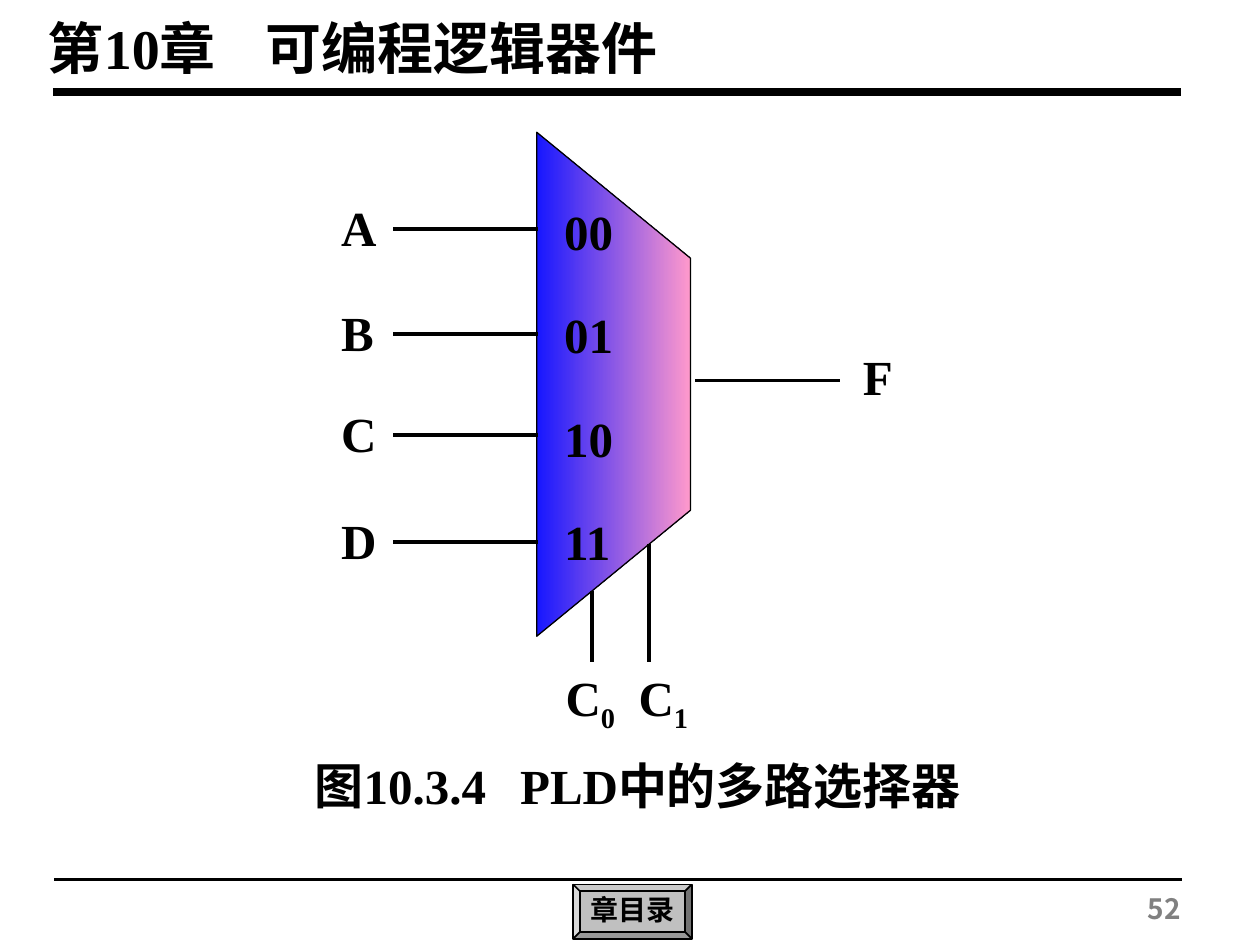
from lxml import etree
from pptx import Presentation
from pptx import util as u
from pptx.dml.color import RGBColor
from pptx.enum import shapes as kinds, text
from pptx.oxml.ns import qn

BLACK = RGBColor(0, 0, 0)
GREY = RGBColor(0x80, 0x80, 0x80)
SILVER = RGBColor(0xC0, 0xC0, 0xC0)
BLUE = RGBColor(0x17, 0x17, 0xFF)
PINK = RGBColor(0xFF, 0x99, 0xCC)
LATIN, CJK = "Times New Roman", "Noto Sans CJK SC"

WIDTH, HEIGHT = 10, 7.5
CHAPTER = "第10章\t可编程逻辑器件"
CAPTION = "图10.3.4\tPLD中的多路选择器"
CONTENTS_LABEL = "章目录"
PAGE = "52"
INPUTS = [("A", "00", 1.82), ("B", "01", 2.65), ("C", "10", 3.45), ("D", "11", 4.3)]
SELECTS = [("0", 4.7, 4.69), ("1", 5.15, 4.32)]
OUTPUT = ("F", 3.02)
RULES = [(0.42, 0.73, 4.5), (0.43, 6.98, 2.25)]

MUX_LEFT, MUX_RIGHT, MUX_TOP = 4.26, 5.48, 1.05
MUX_HEIGHT, MUX_SLOPE = 4, 1
WIRE, RULE_WIDTH = 1.15, 8.95
CODE_TOP, CODE_STEP = 1.55, 0.82
SELECT_END, SELECT_LABEL_TOP, SELECT_STEP = 5.25, 5.25, 0.58
LABEL_HEIGHT = 0.57

deck = Presentation()
deck.slide_width, deck.slide_height = u.Inches(WIDTH), u.Inches(HEIGHT)
slide = deck.slides.add_slide(deck.slide_layouts[5])


def write(shape, wording, size=28, color=BLACK, font=LATIN, align=text.PP_ALIGN.LEFT,
          anchor=text.MSO_ANCHOR.TOP, inset=(0.1, 0.05), subscript="", tab=None):
    frame = shape.text_frame
    across, down = (u.Inches(side) for side in inset)
    layout = {"word_wrap": True, "auto_size": text.MSO_AUTO_SIZE.NONE,
              "vertical_anchor": anchor, "margin_left": across, "margin_right": across,
              "margin_top": down, "margin_bottom": down}
    for key, value in layout.items():
        setattr(frame, key, value)
    line = frame.paragraphs[0]
    line.alignment = align
    if tab:
        stops = etree.SubElement(line._p.get_or_add_pPr(), qn("a:tabLst"))
        etree.SubElement(stops, qn("a:tab"), pos=str(u.Inches(tab)), algn="l")
    for part, baseline in ((wording, None), (subscript, "-25000")):
        if not part:
            continue
        run = line.add_run()
        run.text = part
        for key, value in {"size": u.Pt(size), "bold": True, "name": font}.items():
            setattr(run.font, key, value)
        run.font.color.rgb = color
        properties = run._r.get_or_add_rPr()
        etree.SubElement(properties, qn("a:ea"), typeface=CJK)
        if baseline:
            properties.set("baseline", baseline)
    return line


def label(wording, left, top, width, height=LABEL_HEIGHT, **style):
    box = slide.shapes.add_textbox(*(u.Inches(n) for n in (left, top, width, height)))
    write(box, wording, **style)


def wire(x1, y1, x2, y2, weight=2.25):
    line = slide.shapes.add_connector(
        kinds.MSO_CONNECTOR.STRAIGHT, *(u.Inches(n) for n in (x1, y1, x2, y2)))
    line.line.color.rgb = BLACK
    line.line.width = u.Pt(weight)
    etree.SubElement(line._element.spPr, qn("a:effectLst"))


chapter = slide.shapes.title
chapter.left, chapter.top, chapter.width, chapter.height = (
    u.Inches(n) for n in (0.28, 0.06, 5.71, 0.64))
write(chapter, CHAPTER, size=32, tab=1.73)

for left, y, weight in RULES:
    wire(left, y, left + RULE_WIDTH, y, weight)

contents = slide.shapes.add_shape(
    kinds.MSO_SHAPE.BEVEL, *(u.Inches(n) for n in (4.55, 7.02, 0.94, 0.43)))
contents.adjustments[0] = 0.12
contents.shadow.inherit = False
contents.fill.solid()
contents.fill.fore_color.rgb = SILVER
contents.line.color.rgb = BLACK
contents.line.width = u.Pt(1)
write(contents, CONTENTS_LABEL, size=16, align=text.PP_ALIGN.CENTER,
      anchor=text.MSO_ANCHOR.MIDDLE, inset=(0.04, 0.04)).line_spacing = 0.9

label(CAPTION, 2.4, 5.95, 5.42, 1.04, tab=1.63)

mux_bottom = MUX_TOP + MUX_HEIGHT
outline = slide.shapes.build_freeform(
    u.Inches(MUX_LEFT), u.Inches(MUX_TOP), scale=1.0)
outline.add_line_segments([(u.Inches(x), u.Inches(y)) for x, y in (
    (MUX_RIGHT, MUX_TOP + MUX_SLOPE), (MUX_RIGHT, mux_bottom - MUX_SLOPE),
    (MUX_LEFT, mux_bottom))], close=True)
mux = outline.convert_to_shape()
mux.shadow.inherit = False
mux.fill.gradient()
mux.fill.gradient_angle = 0
for stop, color, position in zip(mux.fill.gradient_stops, (BLUE, PINK), (0, 1)):
    stop.color.rgb = color
    stop.position = position
mux.line.color.rgb = BLACK
mux.line.width = u.Pt(0.75)

for row, (name, code, y) in enumerate(INPUTS):
    label(code, MUX_LEFT + 0.12, CODE_TOP + row * CODE_STEP, 0.64)
    wire(MUX_LEFT - WIRE + 0.01, y, MUX_LEFT + 0.01, y)
    label(name, 2.61, y - 0.3, 0.49)

output_name, output_y = OUTPUT
wire(MUX_RIGHT + 0.04, output_y, MUX_RIGHT + 0.04 + WIRE, output_y)
label(output_name, 6.75, output_y - 0.32, 0.49)

for column, (index, x, y) in enumerate(SELECTS):
    wire(x, y, x, SELECT_END)
    label("C", 4.39 + column * SELECT_STEP, SELECT_LABEL_TOP, 0.61, 0.63, subscript=index)

label(PAGE, 8.39, 7.03, 1.08, 0.39, size=16, color=GREY, font=CJK,
      align=text.PP_ALIGN.RIGHT)

deck.save("out.pptx")
